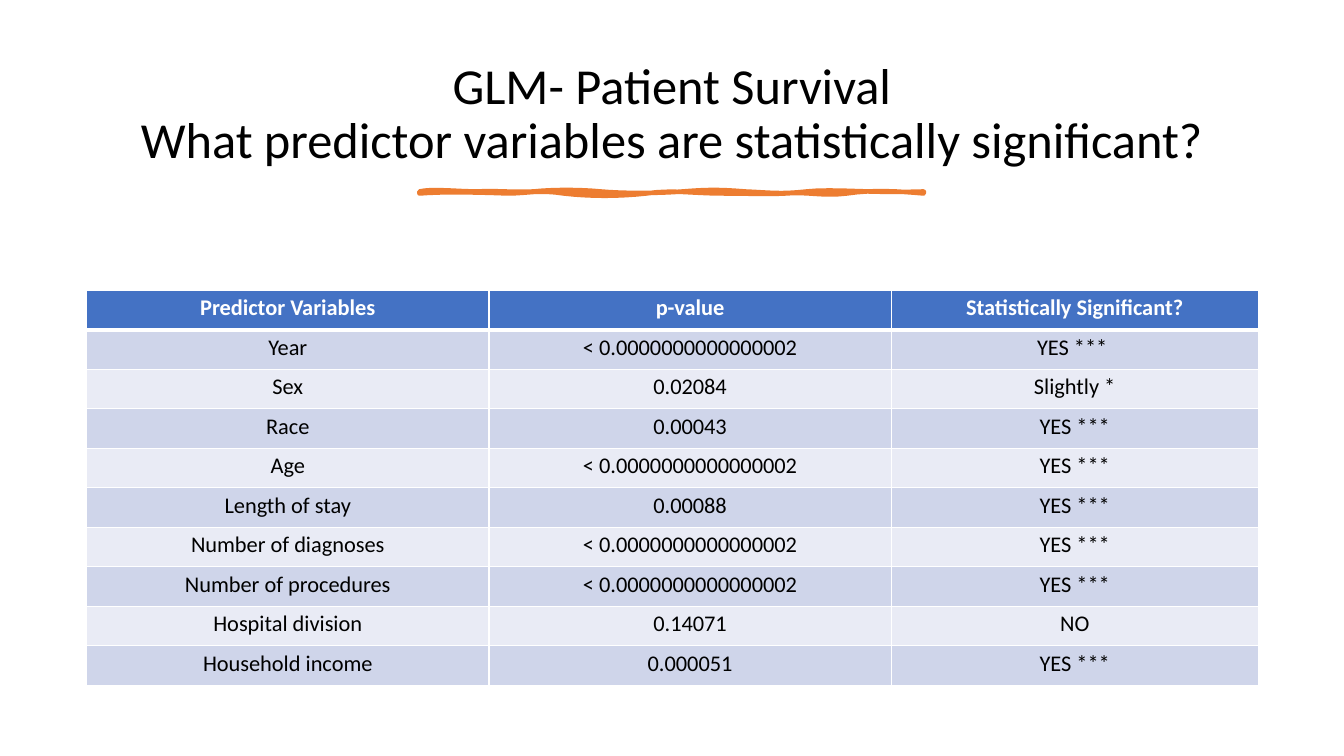
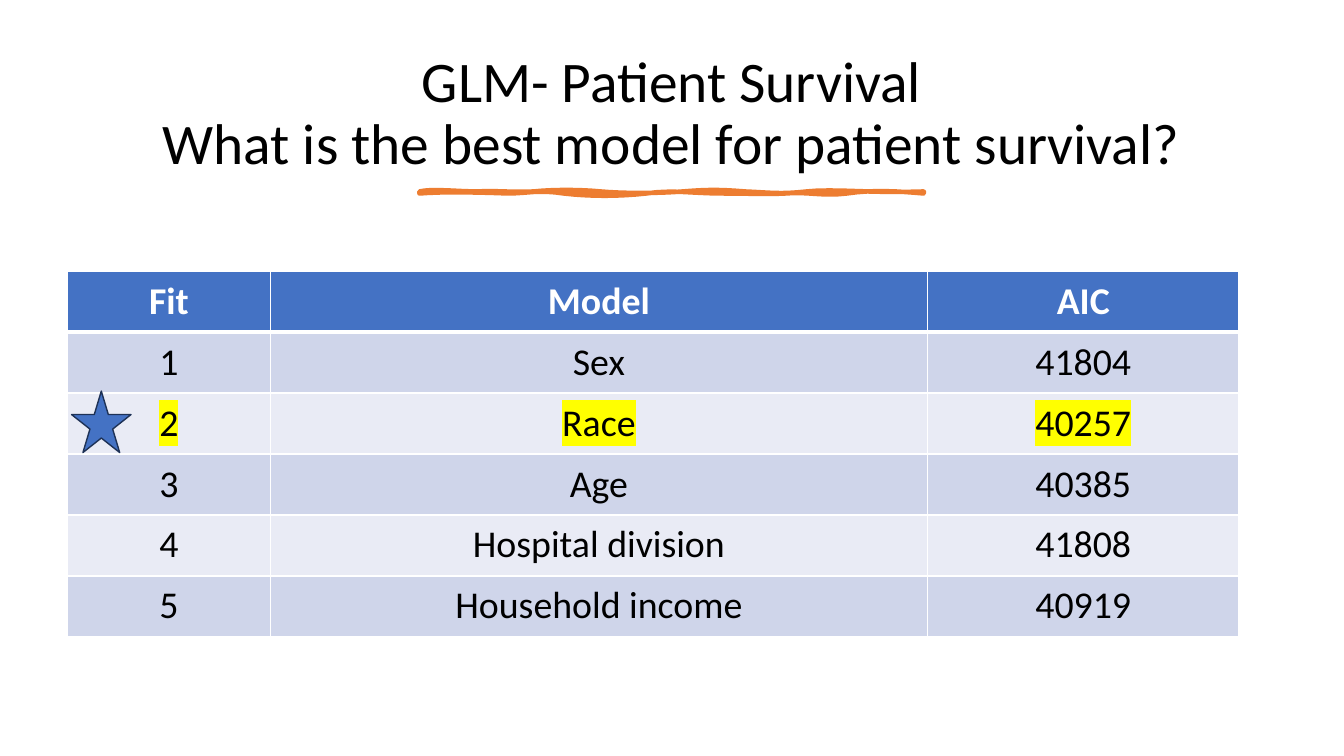
from lxml.etree import SubElement
from pptx import Presentation
from pptx.dml.color import RGBColor
from pptx.enum.shapes import MSO_SHAPE
from pptx.enum.text import MSO_ANCHOR, PP_ALIGN
from pptx.oxml.ns import qn
from pptx.util import Inches, Pt

# Underline as cubic curves: first and second control point, then end point
STROKE_START = (4.16, 1.9)
STROKE_CURVES = [
    (4.28, 1.87, 4.54, 1.9, 4.73, 1.9),
    (4.92, 1.89, 5.09, 1.91, 5.29, 1.9),
    (5.49, 1.88, 5.74, 1.88, 5.96, 1.9),
    (6.17, 1.92, 6.53, 1.92, 6.77, 1.9),
    (7.02, 1.88, 7.14, 1.88, 7.39, 1.9),
    (7.63, 1.91, 7.74, 1.93, 8, 1.9),
    (8.26, 1.87, 8.67, 1.92, 9.16, 1.9),
    (9.17, 1.91, 9.16, 1.91, 9.16, 1.92),
    (8.95, 1.9, 8.65, 1.88, 8.4, 1.92),
    (8.15, 1.95, 8.01, 1.9, 7.79, 1.92),
    (7.56, 1.93, 7.47, 1.92, 7.17, 1.92),
    (6.87, 1.92, 6.67, 1.88, 6.41, 1.92),
    (6.14, 1.95, 5.85, 1.95, 5.59, 1.92),
    (5.34, 1.88, 5.23, 1.92, 5.03, 1.92),
    (4.83, 1.91, 4.38, 1.9, 4.16, 1.92),
]

PREDICTORS = [
    ("Predictor Variables", "p-value", "Statistically Significant?"),
    ("Year", "< 0.0000000000000002", "YES *** "),
    ("Sex", "0.02084", "Slightly *"),
    ("Race", "0.00043", "YES ***"),
    ("Age", "< 0.0000000000000002", "YES ***"),
    ("Length of stay", "0.00088", "YES ***"),
    ("Number of diagnoses", "< 0.0000000000000002", "YES ***"),
    ("Number of procedures", "< 0.0000000000000002", "YES ***"),
    ("Hospital division", "0.14071", "NO"),
    ("Household income", "0.000051", "YES ***"),
]

MODELS = [
    ("Fit", "Model", "AIC"),
    ("1", "Sex", "41804"),
    ("2", "Race", "40257"),
    ("3", "Age", "40385"),
    ("4", "Hospital division", "41808"),
    ("5", "Household income", "40919"),
]


def rgb(hex_color):
    return RGBColor.from_string(hex_color)


def write(frame, text, size, color, bold=False, spacing=1.0, highlight=None):
    """Put one centred paragraph into a text frame."""
    paragraph = frame.paragraphs[0]
    paragraph.text = text
    paragraph.alignment = PP_ALIGN.CENTER
    paragraph.line_spacing = spacing
    for run in paragraph.runs:
        font = run.font
        font.size, font.bold, font.name = Pt(size), bold, Deck.FONT
        font.color.rgb = rgb(color)
        if highlight:
            marker = SubElement(font._element, qn("a:highlight"))
            SubElement(marker, qn("a:srgbClr"), val=highlight)
            font._element.find(qn("a:solidFill")).addnext(marker)


def cubic(start, curve, t):
    """Point at t on a cubic curve."""
    points = [start, curve[:2], curve[2:4], curve[4:]]
    weights = [(1 - t) ** 3, 3 * t * (1 - t) ** 2, 3 * t ** 2 * (1 - t), t ** 3]
    return tuple(Inches(sum(w * p[axis] for w, p in zip(weights, points)))
                 for axis in (0, 1))


class Deck:
    FONT = "Calibri"
    TEXT, WHITE = "000000", "FFFFFF"
    BLUE, BLUE_EDGE, ORANGE = "4472C4", "1E3256", "ED7D31"
    BANDS = ("E9EBF5", "CFD5EA")
    MARKER = "FFFF00"
    CURVE_STEPS = 8

    def __init__(self):
        self.prs = Presentation()
        self.prs.slide_width, self.prs.slide_height = Inches(13.33), Inches(7.5)
        self.slide = None

    def new_slide(self, title, title_size):
        self.slide = self.prs.slides.add_slide(self.prs.slide_layouts[6])
        self.title(title, title_size)
        self.underline()

    def title(self, text, size):
        box = self.slide.shapes.add_textbox(
            Inches(0.7), Inches(0.46), Inches(11.93), Inches(1.37))
        frame = box.text_frame
        frame.word_wrap = True
        frame.vertical_anchor = MSO_ANCHOR.MIDDLE
        write(frame, text, size, self.TEXT, spacing=0.9)

    def paint(self, shape, fill, line, width):
        shape.shadow.inherit = False
        shape.fill.solid()
        shape.fill.fore_color.rgb = rgb(fill)
        shape.line.color.rgb = rgb(line)
        shape.line.width = Pt(width)

    def underline(self):
        start, outline = STROKE_START, []
        for curve in STROKE_CURVES:
            outline += [cubic(start, curve, step / self.CURVE_STEPS)
                        for step in range(1, self.CURVE_STEPS + 1)]
            start = curve[4:]
        builder = self.slide.shapes.build_freeform(
            *(Inches(value) for value in STROKE_START))
        builder.add_line_segments(outline, close=True)
        self.paint(builder.convert_to_shape(), self.ORANGE, self.ORANGE, 3.25)

    def star(self, left, top, width, height):
        star = self.slide.shapes.add_shape(
            MSO_SHAPE.STAR_5_POINT, Inches(left), Inches(top),
            Inches(width), Inches(height))
        self.paint(star, self.BLUE, self.BLUE_EDGE, 1)

    def border(self, cell, side, width):
        line = SubElement(cell._tc.get_or_add_tcPr(), qn(f"a:ln{side}"),
                          w=str(Pt(width)))
        fill = SubElement(line, qn("a:solidFill"))
        SubElement(fill, qn("a:srgbClr"), val=self.WHITE)

    def table(self, rows, left, top, height, columns, size, margins, marked=None):
        table = self.slide.shapes.add_table(
            len(rows), len(columns), Inches(left), Inches(top),
            Inches(sum(columns)), Inches(height)).table
        for column, width in zip(table.columns, columns):
            column.width = Inches(width)
        for r, values in enumerate(rows):
            header = r == 0
            for c, value in enumerate(values):
                cell = table.cell(r, c)
                cell.margin_left = cell.margin_right = Inches(margins[0])
                cell.margin_top = cell.margin_bottom = Inches(margins[1])
                # The rule under the header is thicker than the others
                for side in "LRTB":
                    thick = (r, side) in ((0, "B"), (1, "T"))
                    self.border(cell, side, 3 if thick else 1)
                cell.fill.solid()
                cell.fill.fore_color.rgb = rgb(
                    self.BLUE if header else self.BANDS[r % 2])
                write(cell.text_frame, value, size,
                      self.WHITE if header else self.TEXT, bold=header,
                      highlight=self.MARKER if r == marked else None)


def main():
    deck = Deck()

    # Significance of the predictors
    deck.new_slide("GLM- Patient Survival\n"
                   "What predictor variables are statistically significant?", 36)
    deck.table(PREDICTORS, 0.86, 2.88, 3.92, (3.99, 3.99, 3.64),
               size=16, margins=(0.09, 0.04))

    # Comparison of the models, best one marked
    deck.new_slide("GLM- Patient Survival\n"
                   "What is the best model for patient survival?", 41)
    deck.table(MODELS, 0.67, 2.69, 3.63, (2.01, 6.52, 3.09),
               size=27, margins=(0.15, 0.07), marked=2)
    deck.star(0.71, 3.88, 0.59, 0.61)

    deck.prs.save("out.pptx")


if __name__ == "__main__":
    main()
